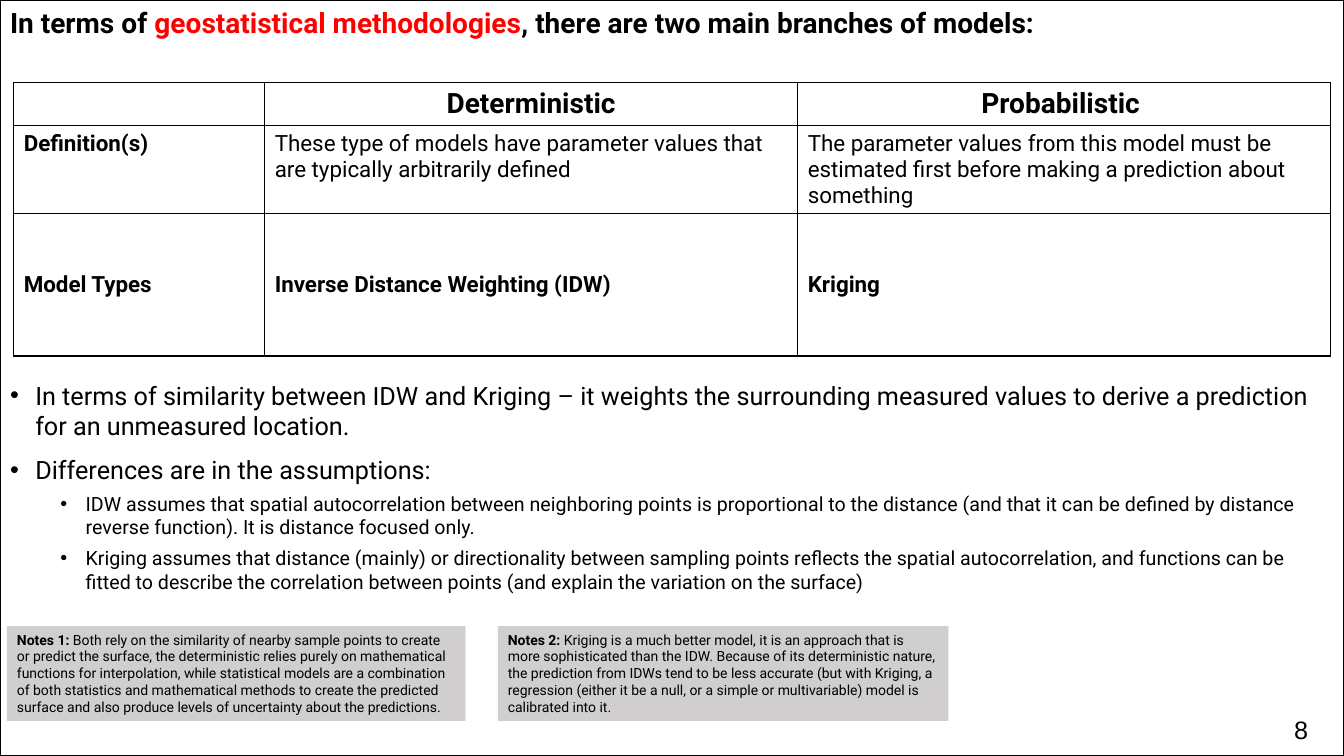
import dataclasses
import typing

import pptx
import pptx.dml.color
import pptx.enum.shapes
import pptx.enum.text
import pptx.oxml
import pptx.oxml.ns
import pptx.util

Pt = pptx.util.Pt
ALIGN = pptx.enum.text.PP_ALIGN
ANCHOR = pptx.enum.text.MSO_ANCHOR
BLACK, RED, GREY = "000000", "FF0000", "D0CECE"


@dataclasses.dataclass
class Run:
    text: str
    size: float
    bold: bool = False
    color: str = BLACK
    face: str = "Roboto"


@dataclasses.dataclass
class Point:
    text: str
    size: float
    level: int
    margin: float
    before: float


@dataclasses.dataclass
class Note:
    left: float
    width: float
    head: str
    text: str


def paint(target: typing.Any, color: str) -> None:
    """Give a fill or font one solid colour."""
    if hasattr(target, "solid"):
        target.solid()
        target = target.fore_color
    else:
        target = target.color
    target.rgb = pptx.dml.color.RGBColor.from_string(color)


def apply(target: typing.Any, values: dict[str, typing.Any]) -> None:
    for name, value in values.items():
        setattr(target, name, value)


def place(shape: typing.Any, left: float, top: float, width: float, height: float) -> None:
    apply(shape, {"left": Pt(left), "top": Pt(top),
                  "width": Pt(width), "height": Pt(height)})


def write(para: typing.Any, *runs: Run) -> None:
    for item in runs:
        run = para.add_run()
        run.text = item.text
        apply(run.font, {"name": item.face, "size": Pt(item.size), "bold": item.bold})
        paint(run.font, item.color)


def frame_text(frame: typing.Any, top: float = 3.6) -> None:
    apply(frame, {"margin_left": Pt(7.2), "margin_right": Pt(7.2),
                  "margin_top": Pt(top), "margin_bottom": Pt(3.6),
                  "word_wrap": True, "vertical_anchor": ANCHOR.TOP,
                  "auto_size": pptx.enum.text.MSO_AUTO_SIZE.NONE})


def add_point(para: typing.Any, point: Point) -> None:
    apply(para, {"level": point.level, "space_before": Pt(point.before),
                 "space_after": Pt(0), "line_spacing": 1.0})
    props = para._p.get_or_add_pPr()
    props.set("marL", str(Pt(point.margin)))
    props.set("indent", str(Pt(-18)))
    for tag, key, value in (("buFont", "typeface", "Arial"), ("buChar", "char", "•")):
        pptx.oxml.ns.qn("a:" + tag)
        mark = props.makeelement(pptx.oxml.ns.qn("a:" + tag), {key: value})
        props.append(mark)
    write(para, Run(point.text, point.size))


def rule_cell(cell: typing.Any) -> None:
    props = cell._tc.get_or_add_tcPr()
    for side in ("lnL", "lnR", "lnT", "lnB"):
        props.append(pptx.oxml.parse_xml(
            f'<a:{side} {pptx.oxml.ns.nsdecls("a")} w="{Pt(1)}"><a:solidFill>'
            f'<a:srgbClr val="{BLACK}"/></a:solidFill></a:{side}>'))
    cell.fill.background()


def add_note(slide: typing.Any, note: Note) -> None:
    box = slide.shapes.add_shape(pptx.enum.shapes.MSO_SHAPE.RECTANGLE, Pt(note.left),
                                 Pt(447.2), Pt(note.width), Pt(67.7))
    box.shadow.inherit = False
    paint(box.fill, GREY)
    box.line.fill.background()
    frame_text(box.text_frame)
    para = box.text_frame.paragraphs[0]
    para.alignment = ALIGN.LEFT
    write(para, Run(note.head, 10, True), Run(note.text, 10))


POINTS = [
    Point("In terms of similarity between IDW and Kriging – it weights the surrounding "
          "measured values to derive a prediction for an unmeasured location.", 18, 0, 18, 0),
    Point("Differences are in the assumptions:", 18, 0, 18, 10),
    Point("IDW assumes that spatial autocorrelation between neighboring points is "
          "proportional to the distance (and that it can be defined by distance reverse "
          "function). It is distance focused only.", 14, 1, 54, 5),
    Point("Kriging assumes that distance (mainly) or directionality between sampling points "
          "reflects the spatial autocorrelation, and functions can be fitted to describe the "
          "correlation between points (and explain the variation on the surface)", 14, 1, 54, 5),
]
ROWS = [
    ("", "Deterministic", "Probabilistic "),
    ("Definition(s)",
     "These type of models have parameter values that are typically arbitrarily defined",
     "The parameter values from this model must be estimated first before making a "
     "prediction about something"),
    ("Model Types", "Inverse Distance Weighting (IDW)", "Kriging"),
]
WIDTHS, HEIGHTS = (179.3, 380.7, 380.7), (30.6, 63, 101.5)
NOTES = [
    Note(5, 327.5, "Notes 1: ",
         "Both rely on the similarity of nearby sample points to create or predict the "
         "surface, the deterministic relies purely on mathematical functions for "
         "interpolation, while statistical models are a combination of both statistics and "
         "mathematical methods to create the predicted surface and also produce levels of "
         "uncertainty about the predictions."),
    Note(355.7, 321.8, "Notes 2: ",
         "Kriging is a much better model, it is an approach that is more sophisticated than "
         "the IDW. Because of its deterministic nature, the prediction from IDWs tend to be "
         "less accurate (but with Kriging, a regression (either it be a null, or a simple or "
         "multivariable) model is calibrated into it."),
]


def main() -> None:
    deck = pptx.Presentation()
    apply(deck, {"slide_width": Pt(960), "slide_height": Pt(540)})
    slide = deck.slides.add_slide(deck.slide_layouts[1])

    # Heading
    title = slide.shapes.title
    place(title, 0, 0, 960, 36)
    frame_text(title.text_frame)
    para = title.text_frame.paragraphs[0]
    para.alignment = ALIGN.LEFT
    write(para, Run("In terms of ", 20, True),
          Run("geostatistical methodologies", 20, True, RED),
          Run(", there are two main branches of models:", 20, True))

    # Framed list, set below the table
    body = slide.placeholders[1]
    place(body, 0, 0, 960, 540)
    paint(body.line.fill, BLACK)
    body.line.width = Pt(0.75)
    frame_text(body.text_frame, 271.5)
    for i, point in enumerate(POINTS):
        text = body.text_frame
        add_point(text.add_paragraph() if i else text.paragraphs[0], point)

    # Model table
    table = slide.shapes.add_table(3, 3, Pt(9.8), Pt(59), Pt(sum(WIDTHS)),
                                   Pt(sum(HEIGHTS))).table
    apply(table, {"first_row": False, "horz_banding": False})
    for col, width in zip(table.columns, WIDTHS):
        col.width = Pt(width)
    for r, (row, height) in enumerate(zip(ROWS, HEIGHTS)):
        table.rows[r].height = Pt(height)
        for c, text in enumerate(row):
            cell = table.cell(r, c)
            rule_cell(cell)
            cell.vertical_anchor = ANCHOR.MIDDLE if r == 2 else ANCHOR.TOP
            para = cell.text_frame.paragraphs[0]
            para.alignment = ALIGN.LEFT if r else ALIGN.CENTER
            if text:
                write(para, Run(text, 16 if r else 20, r != 1 or c == 0))

    # Notes and page number
    for note in NOTES:
        add_note(slide, note)
    page = slide.shapes.add_textbox(Pt(917.3), Pt(507), Pt(42.5), Pt(15))
    frame_text(page.text_frame)
    write(page.text_frame.paragraphs[0], Run("8", 18, face="Arial"))

    deck.save("out.pptx")


if __name__ == "__main__":
    main()
